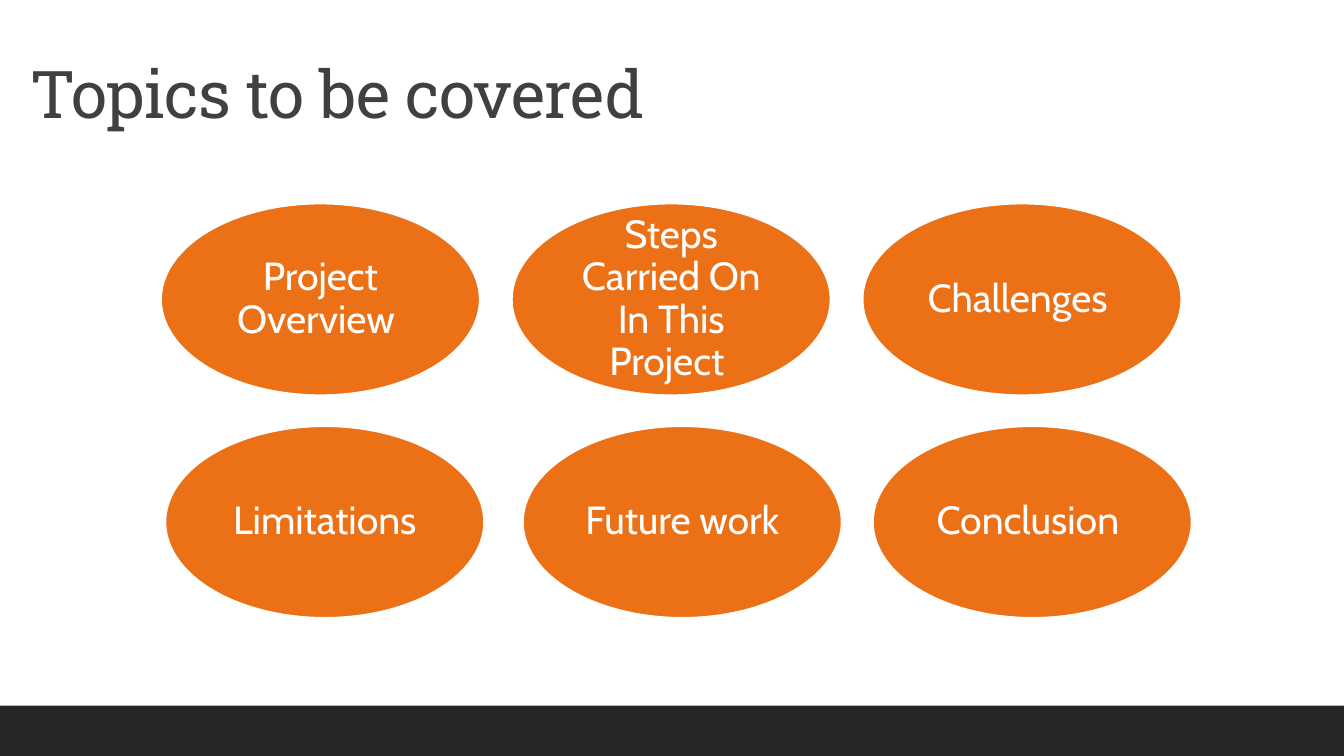
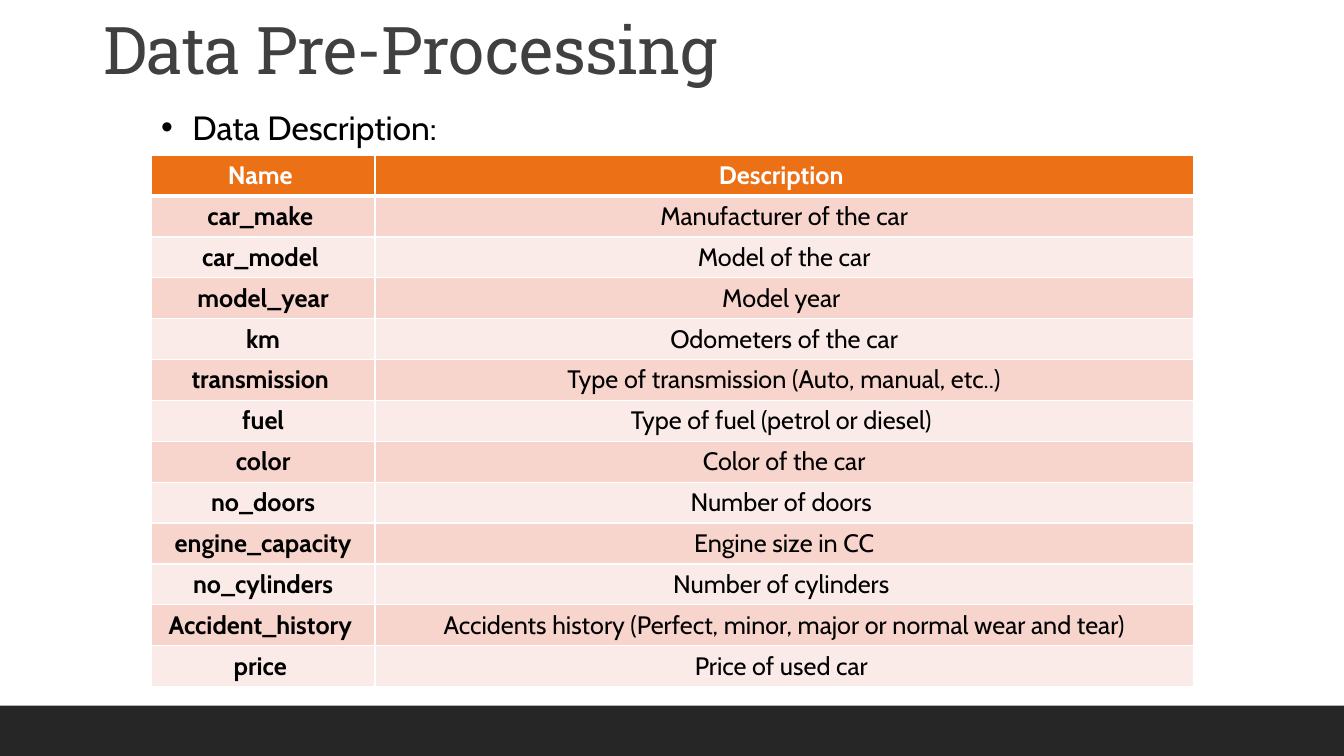
from lxml.etree import SubElement
from pptx import Presentation
from pptx.dml.color import RGBColor
from pptx.enum.shapes import MSO_SHAPE as Preset
from pptx.enum.text import MSO_ANCHOR as Anchor, PP_ALIGN as Align
from pptx.oxml.ns import qn
from pptx.util import Cm, Pt

COLORS = {
    "accent": "EC7016",
    "band": "262626",
    "title": "404040",
    "text": "000000",
    "white": "FFFFFF",
    "dark row": "F8D5CC",
    "light row": "FBEBE8",
}
TITLE_FONT = "Roboto Slab"
BODY_FONT = "Cabin"
SLIDE_WIDTH, SLIDE_HEIGHT = 33.87, 19.05
BAND_HEIGHT = 1.27
TITLE_HEIGHT = 2.1

TOPIC_SIZE = (8.03, 4.83)
TOPIC_ROWS = [
    (5.13, [(4.06, "Project Overview "),
            (12.9, "Steps Carried On In This Project "),
            (21.74, "Challenges ")]),
    (10.74, [(4.17, "Limitations"),
             (13.18, "Future work"),
             (22, "Conclusion ")]),
]

COLUMN_WIDTHS = (5.64, 20.62)
ROW_HEIGHT = 1.03
FIELDS = [
    ("Name ", "Description "),
    ("car_make ", "Manufacturer of the car"),
    ("car_model ", "Model of the car"),
    ("model_year", "Model year "),
    ("km", "Odometers of the car"),
    ("transmission ", "Type of transmission (Auto, manual, etc..)"),
    ("fuel", "Type of fuel (petrol or diesel) "),
    ("color", "Color of the car"),
    ("no_doors", "Number of doors "),
    ("engine_capacity", "Engine size in CC"),
    ("no_cylinders", "Number of cylinders "),
    ("Accident_history ", "Accidents history (Perfect, minor, major or normal wear and tear)"),
    ("price ", "Price of used car "),
]


def rgb(name):
    return RGBColor.from_string(COLORS[name])


def write(frame, text, size=18, font=BODY_FONT, color="text", bold=False,
          align=Align.LEFT, line_spacing=None, tracking=None, bullet=None):
    frame.word_wrap = True
    paragraph = frame.paragraphs[0]
    paragraph.alignment = align
    if line_spacing:
        paragraph.line_spacing = line_spacing
    run = paragraph.add_run()
    run.text = text
    run.font.size = Pt(size)
    run.font.name = font
    run.font.bold = bold
    run.font.color.rgb = rgb(color)
    if tracking:
        run.font._element.set("spc", str(int(tracking * 100)))
    if bullet:
        properties = paragraph._p.get_or_add_pPr()
        properties.set("marL", str(Cm(0.79)))
        properties.set("indent", str(-Cm(0.79)))
        SubElement(properties, qn("a:buFont"), typeface="Arial")
        SubElement(properties, qn("a:buChar"), char=bullet)


def add_shape(slide, preset, left, top, width, height, fill, line=None):
    shape = slide.shapes.add_shape(preset, Cm(left), Cm(top), Cm(width), Cm(height))
    shape.shadow.inherit = False
    shape.fill.solid()
    shape.fill.fore_color.rgb = rgb(fill)
    if line:
        shape.line.color.rgb = rgb(line)
        shape.line.width = Pt(1.25)
    else:
        shape.line.fill.background()
    return shape


def add_text_box(slide, left, top, width, height, text, anchor=Anchor.TOP, **style):
    box = slide.shapes.add_textbox(Cm(left), Cm(top), Cm(width), Cm(height))
    box.text_frame.vertical_anchor = anchor
    write(box.text_frame, text, **style)


def add_slide(presentation, title, left, bottom, width):
    slide = presentation.slides.add_slide(presentation.slide_layouts[6])
    add_shape(slide, Preset.RECTANGLE, 0, SLIDE_HEIGHT - BAND_HEIGHT,
              SLIDE_WIDTH, BAND_HEIGHT, "band")
    add_text_box(slide, left, bottom - TITLE_HEIGHT, width, TITLE_HEIGHT, title,
                 anchor=Anchor.BOTTOM, size=47, font=TITLE_FONT, color="title",
                 line_spacing=0.9, tracking=-0.5)
    return slide


def add_topic(slide, left, top, text):
    ellipse = add_shape(slide, Preset.OVAL, left, top, *TOPIC_SIZE, "accent", "white")
    frame = ellipse.text_frame
    frame.vertical_anchor = Anchor.MIDDLE
    frame.margin_left = frame.margin_right = Cm(0.3)
    frame.margin_top = frame.margin_bottom = Cm(0.3)
    write(frame, text, size=28, color="white", align=Align.CENTER, line_spacing=0.9)


def set_borders(cell, **widths):
    properties = cell._tc.get_or_add_tcPr()
    for side, width in widths.items():
        line = SubElement(properties, qn(f"a:ln{side}"), w=str(Pt(width)))
        fill = SubElement(line, qn("a:solidFill"))
        SubElement(fill, qn("a:srgbClr"), val=COLORS["white"])


def add_field_table(slide, left, top):
    table = slide.shapes.add_table(
        len(FIELDS), len(COLUMN_WIDTHS), Cm(left), Cm(top),
        Cm(sum(COLUMN_WIDTHS)), Cm(ROW_HEIGHT * len(FIELDS))).table
    for column, width in zip(table.columns, COLUMN_WIDTHS):
        column.width = Cm(width)
    for row_index, texts in enumerate(FIELDS):
        header = row_index == 0
        fill = "accent" if header else "dark row" if row_index % 2 else "light row"
        table.rows[row_index].height = Cm(ROW_HEIGHT)
        for column_index, text in enumerate(texts):
            cell = table.cell(row_index, column_index)
            set_borders(cell, L=1, R=1, T=3 if row_index == 1 else 1, B=3 if header else 1)
            cell.fill.solid()
            cell.fill.fore_color.rgb = rgb(fill)
            write(cell.text_frame, text, color="white" if header else "text",
                  bold=header or column_index == 0, align=Align.CENTER)


def main():
    presentation = Presentation()
    presentation.slide_width = Cm(SLIDE_WIDTH)
    presentation.slide_height = Cm(SLIDE_HEIGHT)

    topics = add_slide(presentation, "Topics to be covered", 0.53, 3.48, 27.94)
    for top, row in TOPIC_ROWS:
        for left, text in row:
            add_topic(topics, left, top, text)

    processing = add_slide(presentation, "Data Pre-Processing", 2.36, 2.36, 18.85)
    add_field_table(processing, 3.81, 3.91)
    add_text_box(processing, 3.81, 2.57, 9.7, 1.27, "Data Description:", size=24, bullet="•")

    presentation.save("out.pptx")


if __name__ == "__main__":
    main()
